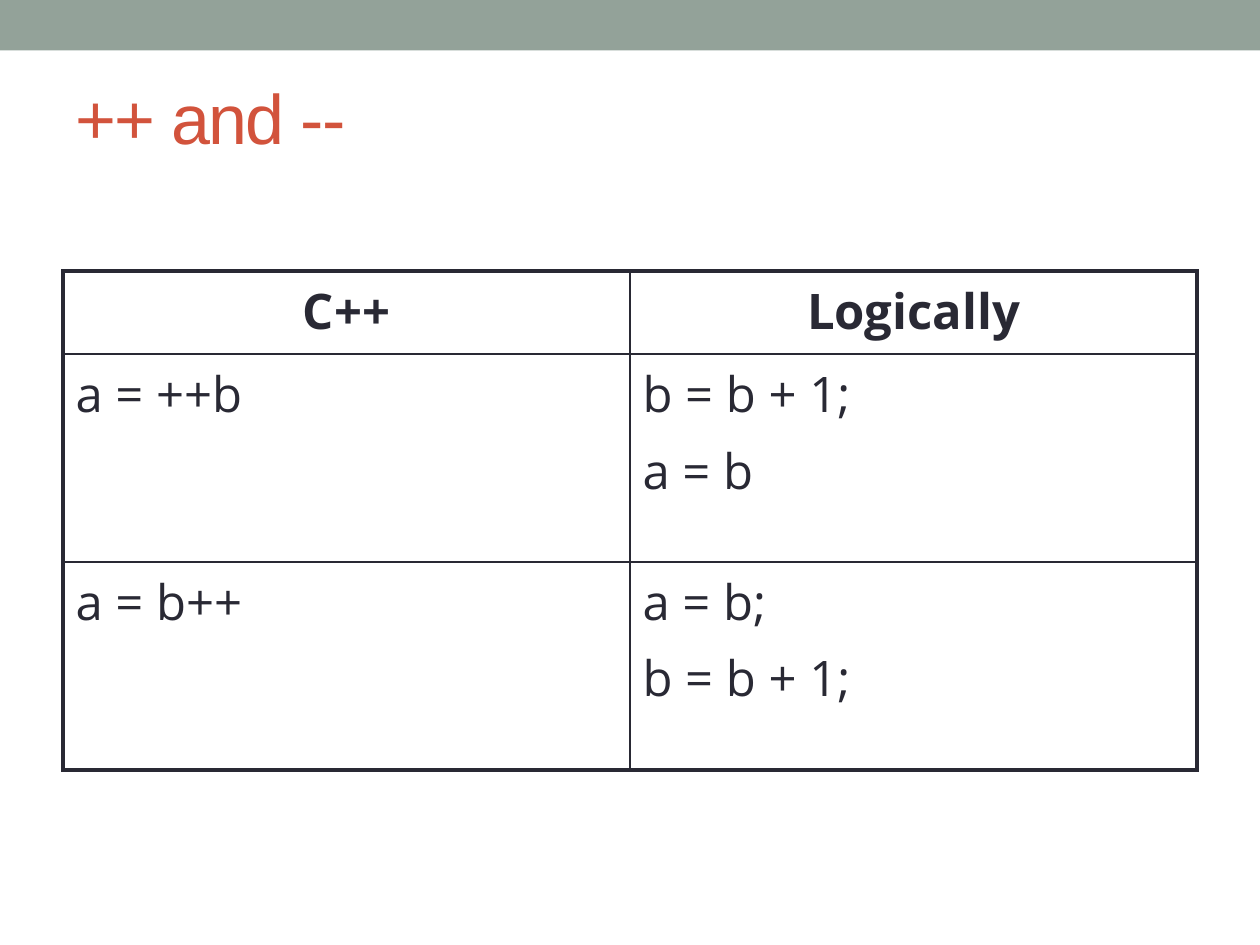
from pptx import Presentation
from pptx.dml.color import RGBColor as RGB
from pptx.enum.shapes import MSO_SHAPE as SHAPE
from pptx.enum.text import MSO_ANCHOR as ANCHOR, PP_ALIGN as ALIGN
from pptx.oxml import parse_xml
from pptx.oxml.ns import nsdecls
from pptx.util import Inches, Pt

COLORS = {"band": "93A299", "title": "D2533C", "ink": "292934"}
TITLE = {"name": "Arial", "size": Pt(40), "bold": False}
BODY = {"name": "Open Sans", "size": Pt(28), "bold": False}
HEADER = {**BODY, "bold": True}
THICK, THIN = Pt(2.25), Pt(1)


class Deck:
    def __init__(self, prs):
        self.s = prs.slides.add_slide(prs.slide_layouts[5])

    def run(self, p, text, style, color):
        r = p.add_run()
        r.text = text
        for name, value in style.items():
            setattr(r.font, name, value)
        r.font.color.rgb = RGB.from_string(COLORS[color])
        return r

    def band(self, x, y, w, h):
        sp = self.s.shapes.add_shape(SHAPE.RECTANGLE, *map(Inches, (x, y, w, h)))
        sp.shadow.inherit = False
        sp.fill.solid()
        sp.fill.fore_color.rgb = RGB.from_string(COLORS["band"])
        sp.line.fill.background()

    def title(self, text, x, y, w, h):
        sp = self.s.shapes.title
        sp.left, sp.top, sp.width, sp.height = map(Inches, (x, y, w, h))
        tf = sp.text_frame
        tf.vertical_anchor = ANCHOR.MIDDLE
        p = tf.paragraphs[0]
        p.alignment = ALIGN.LEFT
        r = self.run(p, text, TITLE, "title")
        r._r.get_or_add_rPr().set("spc", "-100")

    def border(self, cell, side, width):
        cell._tc.get_or_add_tcPr().append(parse_xml(
            f'<a:ln{side} {nsdecls("a")} w="{width}"><a:solidFill>'
            f'<a:srgbClr val="{COLORS["ink"]}"/></a:solidFill></a:ln{side}>'))

    def cell(self, cell, lines, style, align, edges):
        tf = cell.text_frame
        for i, line in enumerate(lines):
            p = tf.add_paragraph() if i else tf.paragraphs[0]
            p.alignment = align
            p.space_before = Pt(5.6)
            self.run(p, line, style, "ink")
        for side, outer in edges.items():
            self.border(cell, side, THICK if outer else THIN)
        cell.fill.background()

    def table(self, rows, x, y, widths, heights):
        box = map(Inches, (x, y, sum(widths), sum(heights)))
        t = self.s.shapes.add_table(len(rows), len(widths), *box).table
        t.first_row = t.horz_banding = False
        for col, w in zip(t.columns, widths):
            col.width = Inches(w)
        for i, (row, h) in enumerate(zip(rows, heights)):
            t.rows[i].height = Inches(h)
            style, align = (BODY, ALIGN.LEFT) if i else (HEADER, ALIGN.CENTER)
            for j, lines in enumerate(row):
                edges = {"L": j == 0, "R": j == len(widths) - 1,
                         "T": i == 0, "B": i == len(rows) - 1}
                self.cell(t.cell(i, j), lines, style, align, edges)


prs = Presentation()
prs.slide_width, prs.slide_height = Inches(10), Inches(7.5)
deck = Deck(prs)
deck.band(0, 0, 10, 0.4)
deck.title("++ and --", 0.5, 0.3, 9, 1.25)
deck.table([
    [["C++"], ["Logically"]],
    [["a = ++b"], ["b = b + 1;", "a = b"]],
    [["a = b++"], ["a = b;", "b = b + 1;"]],
], 0.5, 2.15, [4.5, 4.5], [0.66, 1.65, 1.65])
prs.save("out.pptx")
